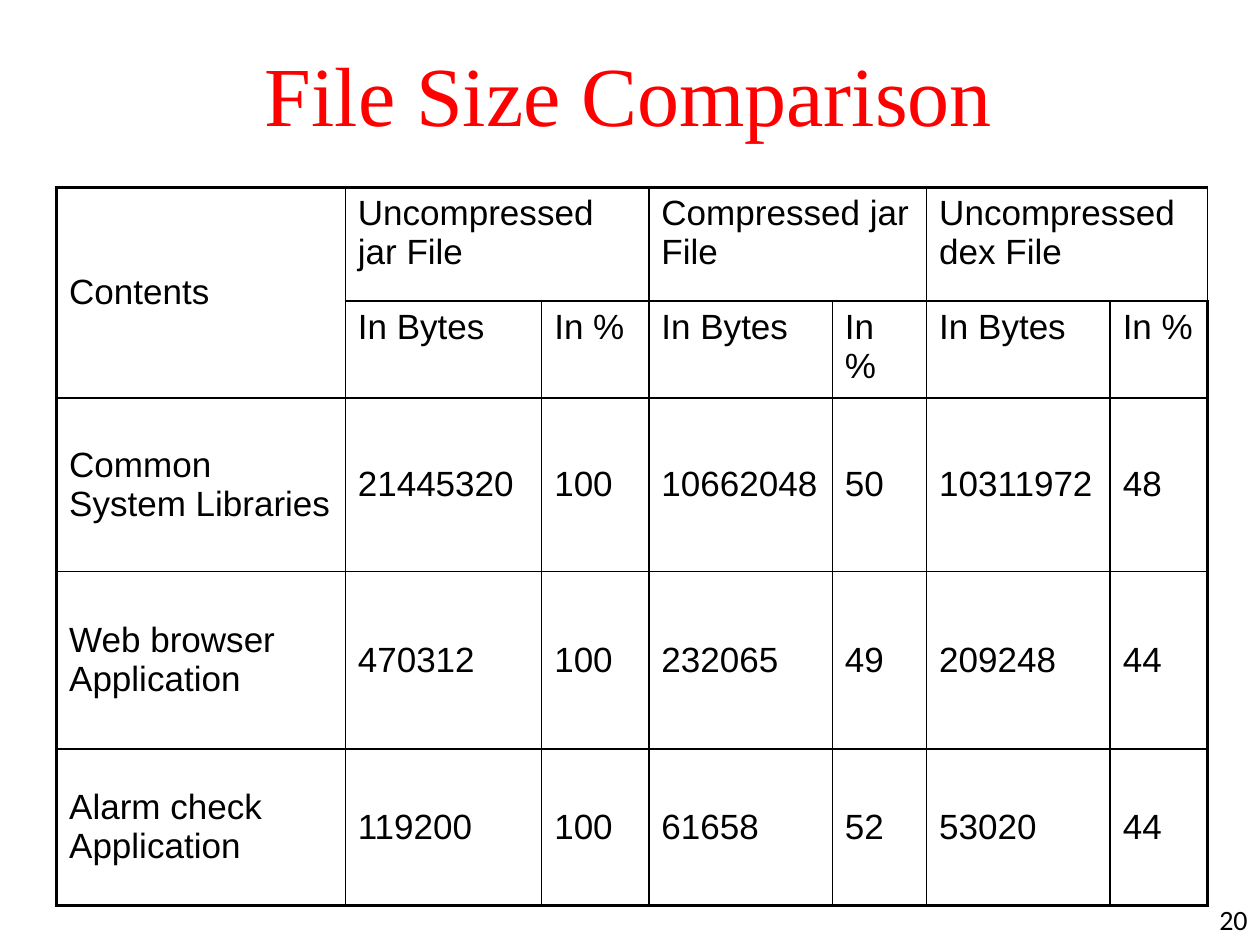
from dataclasses import dataclass

from lxml.etree import SubElement
from pptx import Presentation
from pptx.dml.color import RGBColor
from pptx.enum.text import MSO_ANCHOR, PP_ALIGN
from pptx.oxml.ns import qn
from pptx.util import Cm, Pt


@dataclass(frozen=True)
class TextStyle:
    font: str
    size: float
    color: str


@dataclass(frozen=True)
class Theme:
    title: TextStyle = TextStyle("Times New Roman", 48, "FF0000")
    body: TextStyle = TextStyle("Arial", 20, "000000")
    number: TextStyle = TextStyle("Calibri", 16, "000000")
    border: str = "000000"
    inner_line: float = 1
    outer_line: float = 2.25


@dataclass(frozen=True)
class Box:
    left: float
    top: float
    width: float
    height: float

    def lengths(self) -> tuple:
        return Cm(self.left), Cm(self.top), Cm(self.width), Cm(self.height)


@dataclass(frozen=True)
class FileSizes:
    contents: str
    values: tuple


THEME = Theme()
COLUMN_WIDTHS = (5.82, 3.96, 2.16, 3.7, 1.9, 3.7, 1.96)
ROW_HEIGHTS = (2.29, 1.93, 3.5, 3.58, 3.15)
FORMATS = ("Uncompressed jar File", "Compressed jar File", "Uncompressed dex File")
UNITS = ("In Bytes", "In %")
SIZES = (
    FileSizes("Common System Libraries", (21445320, 100, 10662048, 50, 10311972, 48)),
    FileSizes("Web browser Application", (470312, 100, 232065, 49, 209248, 44)),
    FileSizes("Alarm check Application", (119200, 100, 61658, 52, 53020, 44)),
)


def write(paragraph, text: str, style: TextStyle, alignment=PP_ALIGN.LEFT) -> None:
    paragraph.alignment = alignment
    run = paragraph.add_run()
    run.text = text
    run.font.name = style.font
    run.font.size = Pt(style.size)
    run.font.color.rgb = RGBColor.from_string(style.color)


def set_borders(cell, outer_sides: dict) -> None:
    """Draw all four cell borders, heavier on the sides that are outer edges."""
    properties = cell._tc.get_or_add_tcPr()
    for side, is_outer in outer_sides.items():
        width = THEME.outer_line if is_outer else THEME.inner_line
        line = SubElement(properties, qn(f"a:ln{side}"), w=str(Pt(width)))
        fill = SubElement(line, qn("a:solidFill"))
        SubElement(fill, qn("a:srgbClr"), val=THEME.border)


def add_title(slide, text: str, box: Box) -> None:
    title = slide.shapes.title
    title.left, title.top, title.width, title.height = box.lengths()
    title.text_frame.vertical_anchor = MSO_ANCHOR.MIDDLE
    write(title.text_frame.paragraphs[0], text, THEME.title, PP_ALIGN.CENTER)


def add_page_number(slide, text: str, box: Box) -> None:
    frame = slide.shapes.add_textbox(*box.lengths()).text_frame
    frame.word_wrap = True
    frame.vertical_anchor = MSO_ANCHOR.MIDDLE
    write(frame.paragraphs[0], text, THEME.number, PP_ALIGN.RIGHT)


def add_size_table(slide, left: float, top: float) -> None:
    box = Box(left, top, sum(COLUMN_WIDTHS), sum(ROW_HEIGHTS))
    last_row, last_column = len(ROW_HEIGHTS) - 1, len(COLUMN_WIDTHS) - 1
    table = slide.shapes.add_table(last_row + 1, last_column + 1, *box.lengths()).table
    table.first_row = table.horz_banding = False
    for column, width in zip(table.columns, COLUMN_WIDTHS):
        column.width = Cm(width)
    for row, height in zip(table.rows, ROW_HEIGHTS):
        row.height = Cm(height)

    # Borders and fill
    for row in range(last_row + 1):
        for column in range(last_column + 1):
            cell = table.cell(row, column)
            set_borders(cell, {"L": column == 0, "R": column == last_column,
                               "T": row == 0, "B": row == last_row})
            cell.fill.background()

    # Merged headings
    table.cell(0, 0).merge(table.cell(1, 0))
    for column in range(1, last_column, 2):
        table.cell(0, column).merge(table.cell(0, column + 1))

    # Text; None marks a cell covered by a merge
    first_heading = ["Contents"]
    for name in FORMATS:
        first_heading += [name, None]
    rows = [first_heading, [None, *UNITS * len(FORMATS)]]
    rows += [[sizes.contents, *sizes.values] for sizes in SIZES]
    for row, entries in enumerate(rows):
        for column, entry in enumerate(entries):
            if entry is None:
                continue
            cell = table.cell(row, column)
            is_heading = row < 2 and column > 0
            cell.vertical_anchor = MSO_ANCHOR.TOP if is_heading else MSO_ANCHOR.MIDDLE
            write(cell.text_frame.paragraphs[0], str(entry), THEME.body)


def main() -> None:
    presentation = Presentation()
    presentation.slide_width, presentation.slide_height = Cm(25.4), Cm(19.05)
    slide = presentation.slides.add_slide(presentation.slide_layouts[5])
    add_title(slide, "File Size Comparison", Box(0.66, 0.28, 24.03, 3.18))
    add_page_number(slide, "20", Box(19.48, 18.03, 5.92, 1.02))
    add_size_table(slide, 1.14, 3.78)
    presentation.save("out.pptx")


if __name__ == "__main__":
    main()
